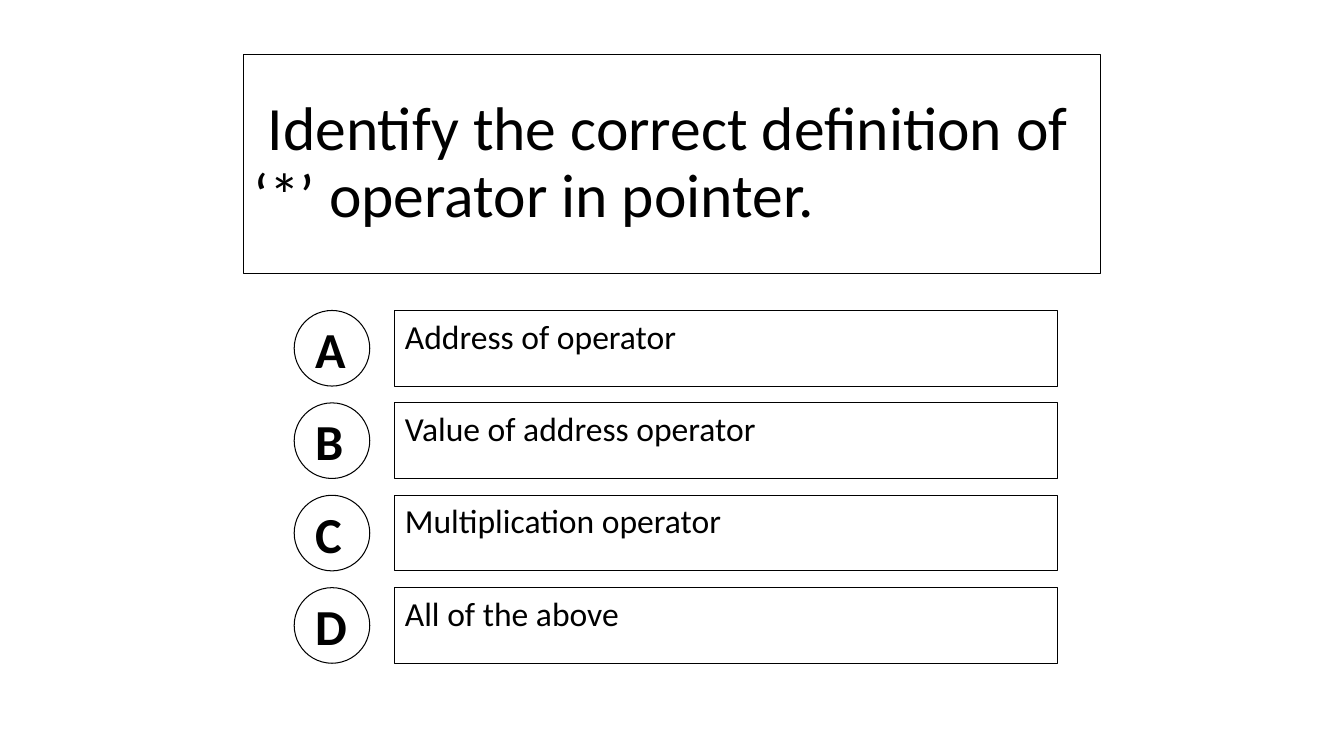
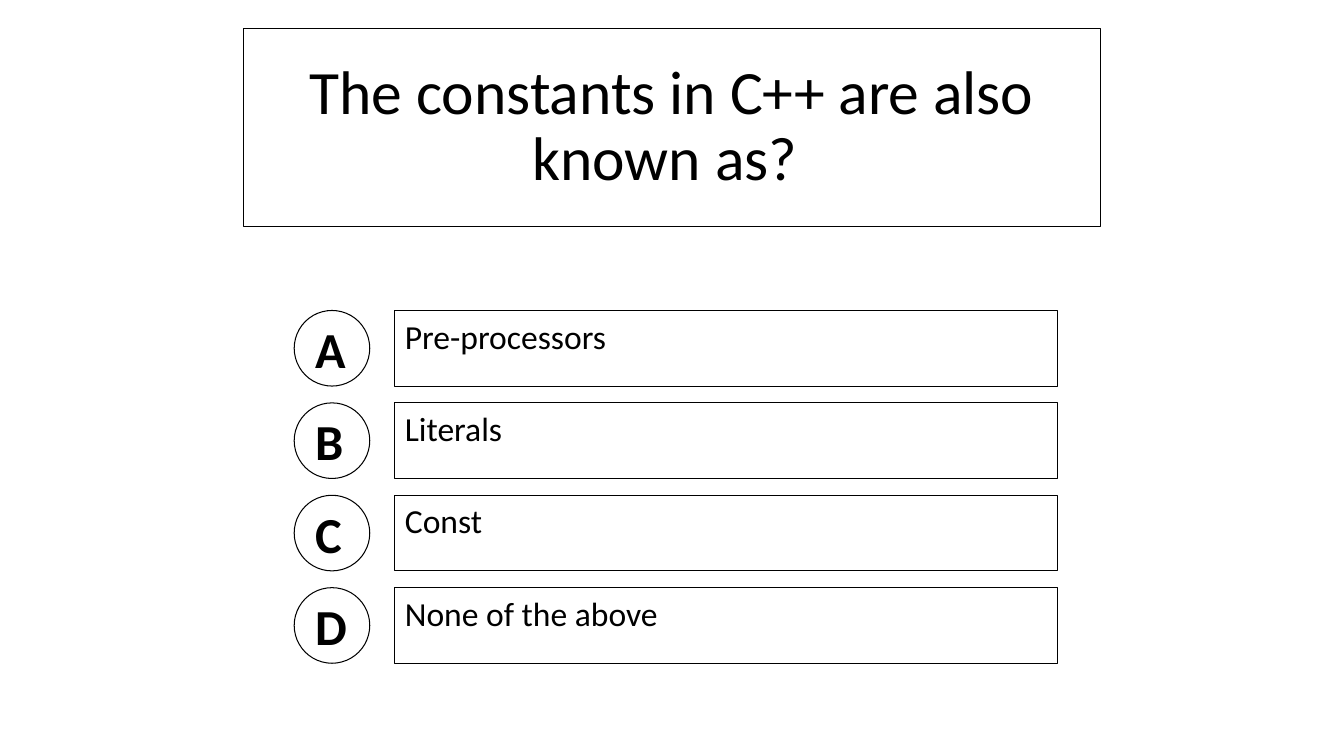
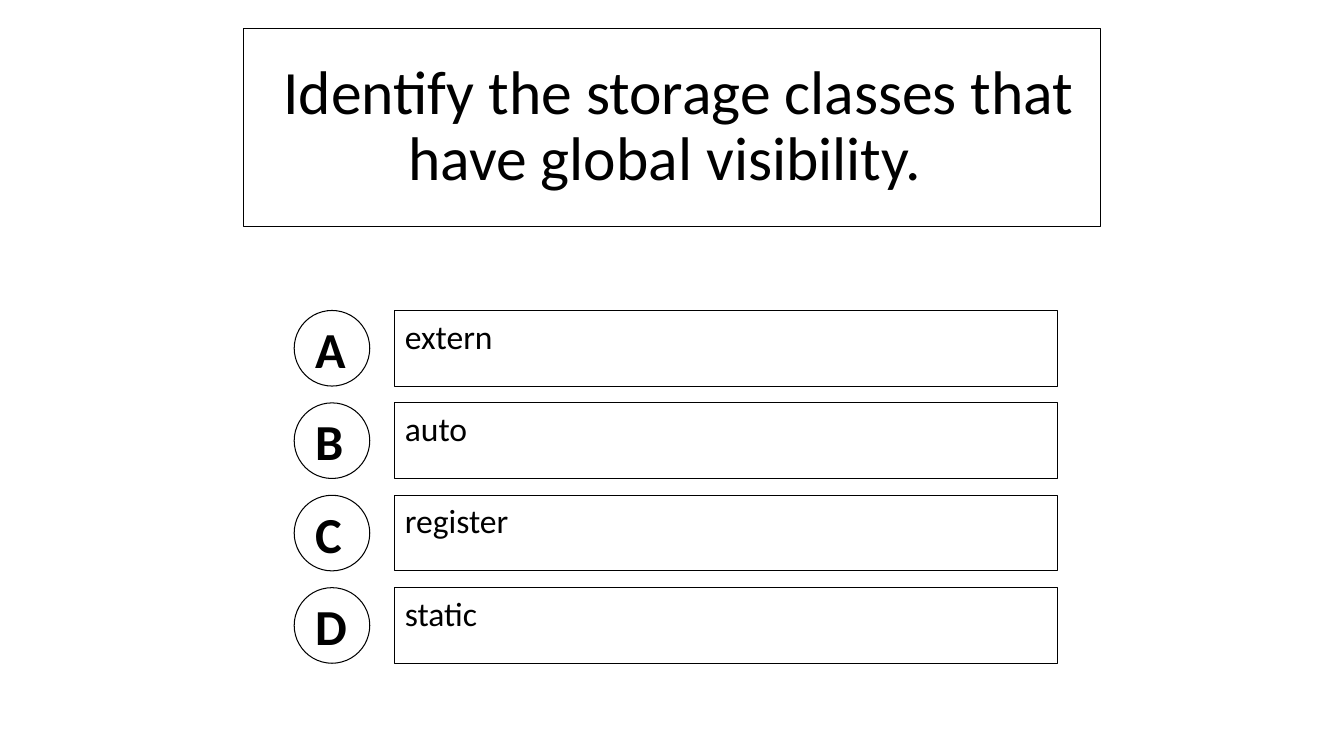
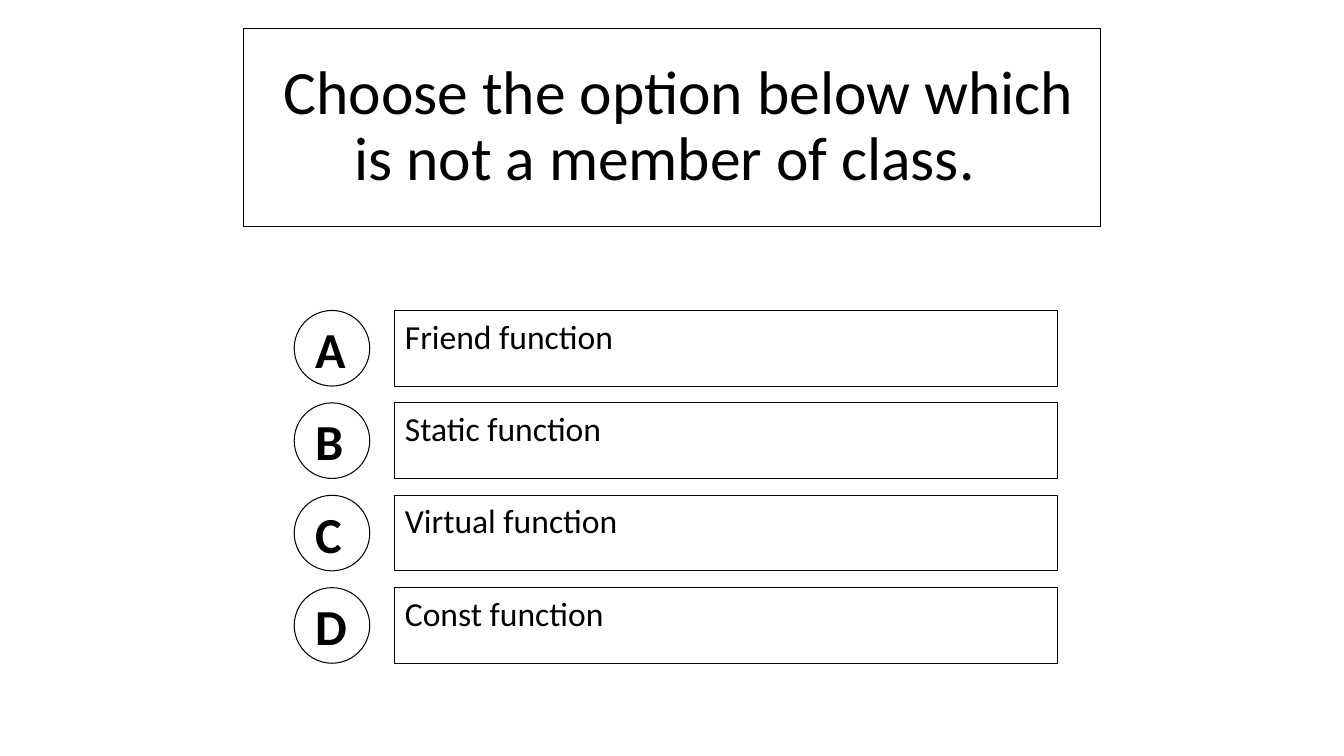
from pptx import Presentation
from pptx import util as u
from pptx.dml.color import RGBColor
from pptx.enum import shapes, text

BLACK = RGBColor(0x00, 0x00, 0x00)
WHITE = RGBColor(0xFF, 0xFF, 0xFF)

QUESTIONS = [
    (" Identify the correct definition of ‘*’ operator in pointer. ",
     ["Address of operator", "Value of address operator",
      "Multiplication operator", "All of the above"],
     0.54, 2.17, text.PP_ALIGN.LEFT),
    ("The constants in C++ are also known as? ",
     ["Pre-processors", "Literals", "Const", "None of the above"],
     0.28, 1.97, text.PP_ALIGN.CENTER),
    (" Identify the storage classes that have global visibility. ",
     ["extern", "auto", "register", "static"],
     0.28, 1.97, text.PP_ALIGN.CENTER),
    (" Choose the option below which is not a member of class. ",
     ["Friend function", "Static function", "Virtual function",
      "Const function"],
     0.28, 1.97, text.PP_ALIGN.CENTER),
]


class Quiz:
    FONT = "Calibri"
    FIRST_ROW, LAST_ROW = 3.08, 5.83
    ROW_HEIGHT = 0.75

    def __init__(self):
        self.prs = Presentation()
        self.prs.slide_width = u.Inches(13.34)
        self.prs.slide_height = u.Inches(7.5)
        self.slide = None

    def new_slide(self):
        self.slide = self.prs.slides.add_slide(self.prs.slide_layouts[5])

    def outline(self, sp):
        sp.line.color.rgb = BLACK
        sp.line.width = u.Pt(0.75)

    def add_text(self, sp, words, size, anchor, align, bold=False):
        tf = sp.text_frame
        tf.vertical_anchor = anchor
        p = tf.paragraphs[0]
        p.alignment = align
        r = p.add_run()
        r.text = words
        r.font.name = self.FONT
        r.font.size = u.Pt(size)
        r.font.bold = bold
        r.font.color.rgb = BLACK
        return p

    def title(self, words, top, height, align):
        sp = self.slide.shapes.title
        sp.left, sp.top = u.Inches(2.42), u.Inches(top)
        sp.width, sp.height = u.Inches(8.5), u.Inches(height)
        self.outline(sp)
        sp.text_frame.auto_size = text.MSO_AUTO_SIZE.NONE
        p = self.add_text(sp, words, 44, text.MSO_ANCHOR.MIDDLE, align)
        p.line_spacing = 0.9

    def shape(self, kind, left, top, width):
        sp = self.slide.shapes.add_shape(
            kind, u.Inches(left), u.Inches(top),
            u.Inches(width), u.Inches(self.ROW_HEIGHT))
        sp.shadow.inherit = False
        sp.text_frame.word_wrap = False
        self.outline(sp)
        return sp

    def letter(self, words, top):
        sp = self.shape(shapes.MSO_SHAPE.OVAL, 2.92, top, self.ROW_HEIGHT)
        sp.fill.background()
        self.add_text(sp, words, 36, text.MSO_ANCHOR.MIDDLE,
                      text.PP_ALIGN.LEFT, bold=True)

    def answer(self, words, top):
        sp = self.shape(shapes.MSO_SHAPE.RECTANGLE, 3.92, top, 6.58)
        sp.fill.solid()
        sp.fill.fore_color.rgb = WHITE
        p = self.add_text(sp, words, 24, text.MSO_ANCHOR.TOP,
                          text.PP_ALIGN.LEFT)
        p.space_before = u.Pt(15)

    def answers(self, options):
        pitch = (self.LAST_ROW - self.FIRST_ROW) / (len(options) - 1)
        for i, (letter, option) in enumerate(zip("ABCD", options)):
            top = self.FIRST_ROW + i * pitch
            self.letter(letter, top)
            self.answer(option, top)


def main():
    quiz = Quiz()
    for question, options, top, height, align in QUESTIONS:
        quiz.new_slide()
        quiz.title(question, top, height, align)
        quiz.answers(options)
    quiz.prs.save("out.pptx")


if __name__ == "__main__":
    main()
